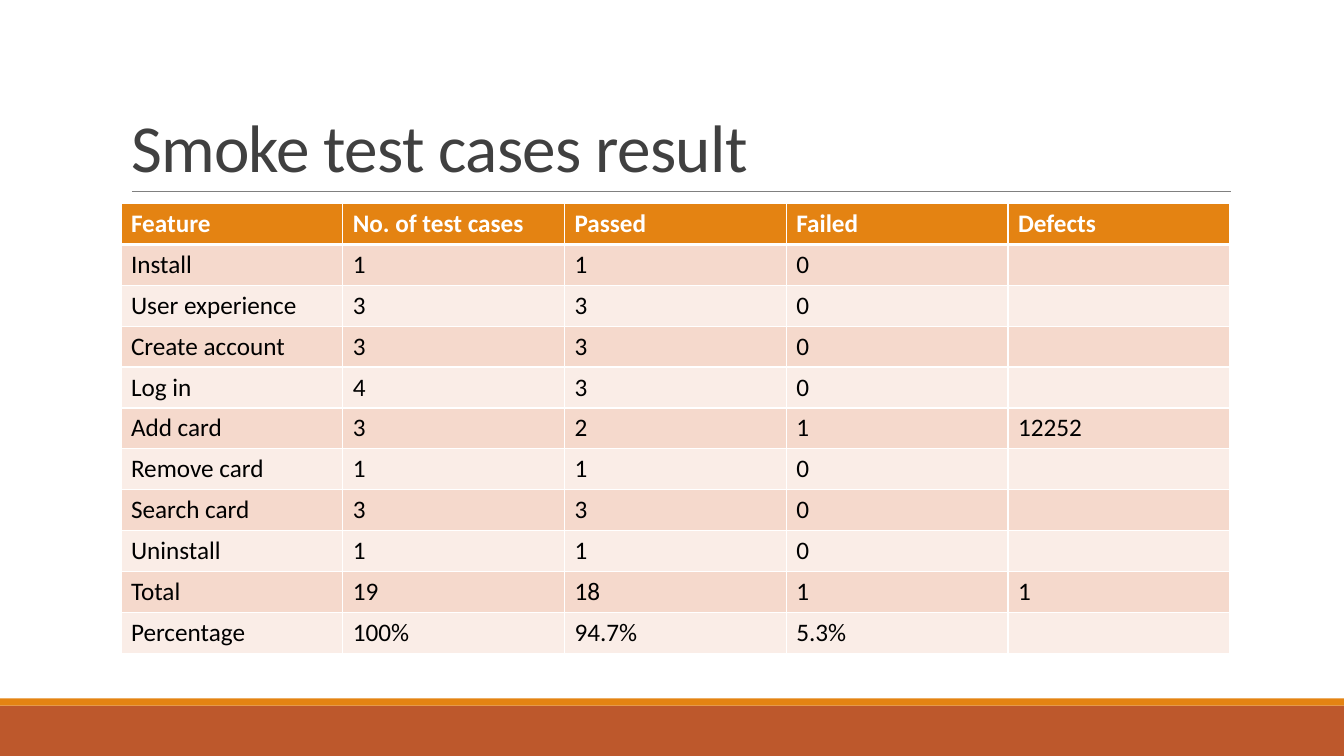
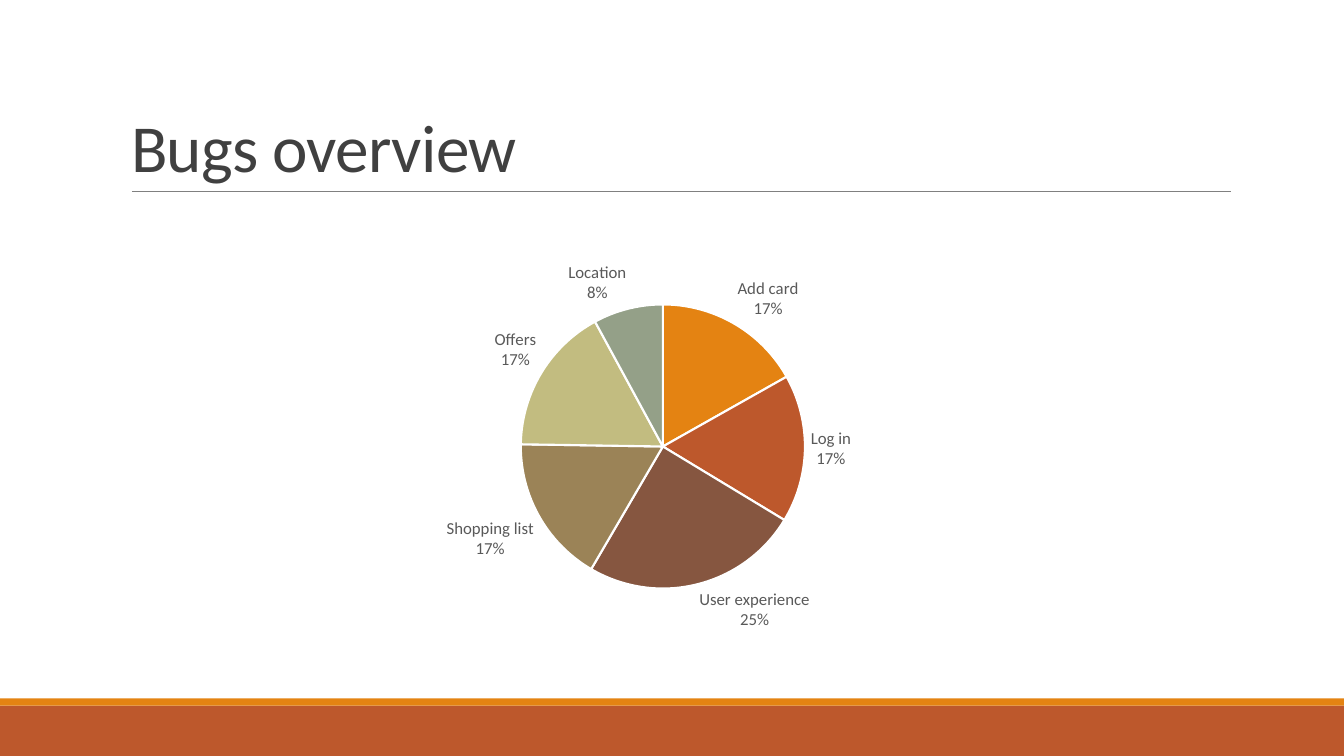
from lxml import etree
from pptx import Presentation
from pptx.chart.data import CategoryChartData
from pptx.dml.color import RGBColor
from pptx.enum.chart import XL_CHART_TYPE, XL_LABEL_POSITION
from pptx.enum.shapes import MSO_CONNECTOR, MSO_SHAPE
from pptx.enum.text import MSO_ANCHOR, MSO_AUTO_SIZE, PP_ALIGN
from pptx.oxml.ns import qn
from pptx.util import Pt

PIE = XL_CHART_TYPE.PIE
OUTSIDE = XL_LABEL_POSITION.OUTSIDE_END
LINE = MSO_CONNECTOR.STRAIGHT
RECT = MSO_SHAPE.RECTANGLE
BOTTOM = MSO_ANCHOR.BOTTOM
FIXED = MSO_AUTO_SIZE.NONE
LEFT = PP_ALIGN.LEFT

FONT = "Calibri"
COLORS = {
    "white": "FFFFFF",
    "black": "000000",
    "title": "404040",
    "label": "595959",
    "rule": "808080",
    "orange": "E48312",
    "rust": "BD582C",
    "brown": "865640",
    "tan": "9B8357",
    "olive": "C2BC80",
    "sage": "94A088",
    "dark": "F5D9CC",
    "light": "FAEDE7",
}
SLICES = ["orange", "rust", "brown", "tan", "olive", "sage"]

RESULTS = [
    ["Feature", "No. of test cases", "Passed", "Failed", "Defects"],
    ["Install", "1", "1", "0", ""],
    ["User experience", "3", "3", "0", ""],
    ["Create account", "3", "3", "0", ""],
    ["Log in", "4", "3", "0", ""],
    ["Add card", "3", "2", "1", "12252"],
    ["Remove card", "1", "1", "0", ""],
    ["Search card", "3", "3", "0", ""],
    ["Uninstall", "1", "1", "0", ""],
    ["Total", "19", "18", "1", "1"],
    ["Percentage", "100%", "94.7%", "5.3%", ""],
]
BUGS = {
    "Add card": 17,
    "Log in": 17,
    "User experience": 25,
    "Shopping list": 17,
    "Offers": 17,
    "Location": 8,
}


def color(name):
    return RGBColor.from_string(COLORS[name])


def paint(fill, name):
    fill.solid()
    fill.fore_color.rgb = color(name)


def style(font, size, ink, bold=False):
    font.name = FONT
    font.size = Pt(size)
    font.bold = bold
    font.color.rgb = color(ink)


def write(frame, text, size=18, ink="black", bold=False, lead=1.0, track=0):
    para = frame.paragraphs[0]
    para.alignment = LEFT
    para.line_spacing = lead
    run = para.add_run()
    run.text = text
    style(run.font, size, ink, bold)
    if track:
        run.font._element.set("spc", str(round(track * 100)))


def border(cell, **widths):
    props = cell._tc.get_or_add_tcPr()
    for spot, (side, width) in enumerate(widths.items()):
        line = etree.Element(qn(f"a:ln{side}"), w=str(Pt(width)))
        fill = etree.SubElement(line, qn("a:solidFill"))
        etree.SubElement(fill, qn("a:srgbClr"), val=COLORS["white"])
        props.insert(spot, line)


class Deck:
    def __init__(self):
        self.prs = Presentation()
        self.prs.slide_width = Pt(960)
        self.prs.slide_height = Pt(540)
        self.slide = None

    def page(self, title):
        self.slide = self.prs.slides.add_slide(self.prs.slide_layouts[5])
        self.band(504, 36, "rust")
        self.band(498.8, 5.2, "orange")
        self.rule(94.3, 136.8, 879)
        self.title(title)

    def band(self, top, height, fill):
        band = self.slide.shapes.add_shape(RECT, 0, Pt(top), Pt(960), Pt(height))
        band.shadow.inherit = False
        paint(band.fill, fill)
        band.line.fill.background()

    def rule(self, left, top, right):
        rule = self.slide.shapes.add_connector(
            LINE, Pt(left), Pt(top), Pt(right), Pt(top))
        rule.line.color.rgb = color("rule")
        rule.line.width = Pt(0.5)
        etree.SubElement(rule._element.spPr, qn("a:effectLst"))

    def title(self, text):
        title = self.slide.shapes.title
        title.left, title.top = Pt(86.4), Pt(22.3)
        title.width, title.height = Pt(792), Pt(114.5)
        frame = title.text_frame
        frame.word_wrap = True
        frame.auto_size = FIXED
        frame.vertical_anchor = BOTTOM
        write(frame, text, size=48, ink="title", lead=0.85, track=-0.5)

    def table(self, rows, left, top, width, step):
        count = len(rows[0])
        table = self.slide.shapes.add_table(
            len(rows), count, Pt(left), Pt(top),
            Pt(width), Pt(step * len(rows))).table
        for col in table.columns:
            col.width = Pt(width / count)
        for i, row in enumerate(rows):
            table.rows[i].height = Pt(step)
            head = i == 0
            fill = "orange" if head else ("light", "dark")[i % 2]
            for j, text in enumerate(row):
                cell = table.cell(i, j)
                paint(cell.fill, fill)
                border(cell, L=1, R=1, T=3 if i == 1 else 1, B=3 if head else 1)
                if text:
                    write(cell.text_frame, text, bold=head,
                          ink="white" if head else "black")

    def pie(self, values, left, top, width, height, plot):
        data = CategoryChartData()
        data.categories = list(values)
        data.add_series("Series 1", list(values.values()))
        chart = self.slide.shapes.add_chart(
            PIE, Pt(left), Pt(top), Pt(width), Pt(height), data).chart
        chart.has_legend = False
        chart.has_title = False
        style(chart.font, 10, "black")
        chart.plots[0].vary_by_categories = True
        series = chart.plots[0].series[0]
        for i, name in enumerate(SLICES):
            form = series.points[i].format
            paint(form.fill, name)
            form.line.color.rgb = color("white")
            form.line.width = Pt(1.5)
        self.label(series.data_labels)
        self.place(chart, plot)

    def label(self, labels):
        style(labels.font, 12, "label")
        labels.number_format = "0%"
        labels.number_format_is_linked = False
        labels.show_value = False
        labels.show_category_name = True
        labels.show_percentage = True
        labels.position = OUTSIDE
        mark = etree.Element(qn("c:separator"))
        mark.text = "\n"
        labels._element.find(qn("c:showBubbleSize")).addnext(mark)

    def place(self, chart, plot):
        area = chart._chartSpace.find(".//" + qn("c:plotArea"))
        for old in area.findall(qn("c:layout")):
            area.remove(old)
        layout = etree.Element(qn("c:layout"))
        area.insert(0, layout)
        manual = etree.SubElement(layout, qn("c:manualLayout"))
        parts = {"layoutTarget": "inner", "xMode": "edge", "yMode": "edge"}
        parts.update(zip("xywh", plot))
        for tag, val in parts.items():
            etree.SubElement(manual, qn(f"c:{tag}"), val=str(val))


def main():
    deck = Deck()
    deck.page("Smoke test cases result")
    deck.table(RESULTS, left=86.4, top=145.4, width=792, step=29.2)
    deck.page("Bugs overview")
    deck.pie(BUGS, left=86.4, top=175.7, width=751.7, height=286.6,
             plot=(0.38, 0.14, 0.27, 0.72))
    deck.prs.save("out.pptx")


if __name__ == "__main__":
    main()
